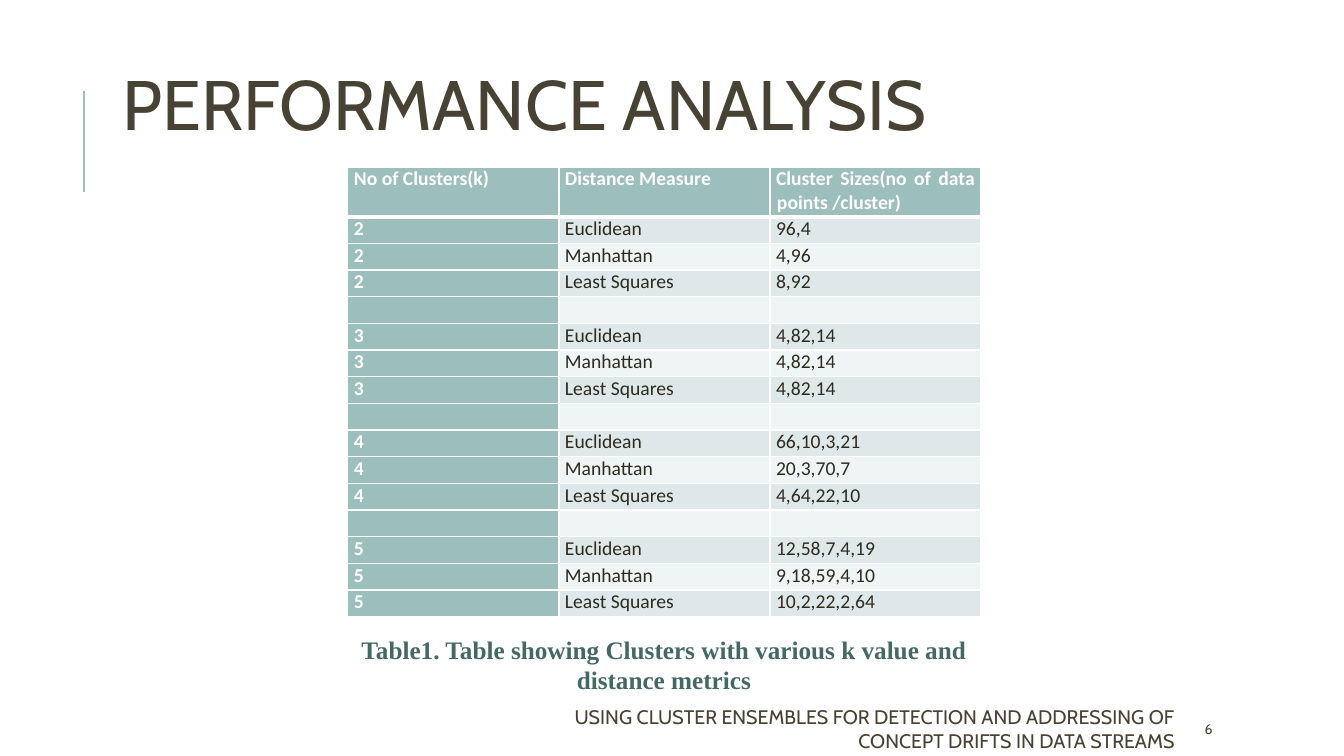
from dataclasses import dataclass

from lxml.etree import SubElement
from pptx import Presentation
from pptx.dml.color import RGBColor as RGB
from pptx.enum.shapes import MSO_CONNECTOR as CONN
from pptx.enum.text import MSO_ANCHOR as ANCHOR, PP_ALIGN as ALIGN
from pptx.oxml.ns import qn
from pptx.slide import Slide
from pptx.table import _Cell as Cell
from pptx.util import Inches, Pt


@dataclass(frozen=True)
class Theme:
    teal: str = "9CBEBD"
    dark_teal: str = "456867"
    brown: str = "474233"
    ink: str = "2E2B21"
    white: str = "FFFFFF"
    bands: tuple[str, str] = ("DEE8E8", "EFF4F4")
    heading_font: str = "Cabin"
    table_font: str = "Calibri"
    caption_font: str = "Times New Roman"
    title_size: int = 50
    caption_size: int = 18
    body_size: int = 14
    number_size: int = 10


@dataclass(frozen=True)
class Label:
    text: str
    left: float
    top: float
    width: float
    height: float
    font: str
    size: int
    color: str
    bold: bool = False
    align: ALIGN = ALIGN.LEFT
    anchor: ANCHOR = ANCHOR.MIDDLE
    line_spacing: float = 1.0
    space_after: int = 0


@dataclass(frozen=True)
class Group:
    k: int
    sizes: tuple[str, str, str]


T = Theme()

LABELS = [
    Label("PERFORMANCE ANALYSIS", 1.12, 0.52, 10.63, 1.14,
          T.heading_font, T.title_size, T.brown, line_spacing=0.8),
    Label("USING CLUSTER ENSEMBLES FOR DETECTION AND ADDRESSING OF "
          "CONCEPT DRIFTS IN DATA STREAMS", 5.3, 7.08, 6.45, 0.3,
          T.heading_font, T.body_size, T.brown, align=ALIGN.RIGHT),
    Label("6", 11.85, 7.08, 1.06, 0.3, T.heading_font, T.number_size, T.brown),
    Label("Table1. Table showing Clusters with various k value and distance metrics",
          3.25, 6.24, 6.67, 0.71, T.caption_font, T.caption_size, T.dark_teal,
          bold=True, align=ALIGN.CENTER, anchor=ANCHOR.TOP, space_after=10),
]

HEADERS = ("No of Clusters(k)", "Distance Measure",
           "Cluster Sizes(no of data points /cluster)")
MEASURES = ("Euclidean", "Manhattan", "Least Squares")
GROUPS = [
    Group(2, ("96,4", "4,96", "8,92")),
    Group(3, ("4,82,14", "4,82,14", "4,82,14")),
    Group(4, ("66,10,3,21", "20,3,70,7", "4,64,22,10")),
    Group(5, ("12,58,7,4,19", "9,18,59,4,10", "10,2,22,2,64")),
]
TABLE_LEFT, TABLE_TOP, TABLE_WIDTH, TABLE_HEIGHT = 3.45, 1.66, 6.28, 4.46
HEADER_HEIGHT = 0.49


def table_rows() -> list[tuple[str, str, str]]:
    rows = [HEADERS]
    for group in GROUPS:
        if group is not GROUPS[0]:
            rows.append(("", "", ""))
        rows += [(str(group.k), m, s) for m, s in zip(MEASURES, group.sizes)]
    return rows


def add_label(s: Slide, label: Label) -> None:
    box = s.shapes.add_textbox(Inches(label.left), Inches(label.top),
                               Inches(label.width), Inches(label.height))
    tf = box.text_frame
    tf.word_wrap = True
    tf.vertical_anchor = label.anchor
    tf.text = label.text
    p = tf.paragraphs[0]
    p.alignment = label.align
    p.line_spacing = label.line_spacing
    p.space_after = Pt(label.space_after)
    font = p.runs[0].font
    font.name, font.size, font.bold = label.font, Pt(label.size), label.bold
    font.color.rgb = RGB.from_string(label.color)


def add_accent_line(s: Slide) -> None:
    line = s.shapes.add_connector(CONN.STRAIGHT, Inches(0.83), Inches(1.9),
                                  Inches(0.83), Inches(0.9))
    line.line.color.rgb = RGB.from_string(T.teal)
    line.line.width = Pt(1.5)
    SubElement(line._element.spPr, qn("a:effectLst"))


def set_borders(cell: Cell, top: int, bottom: int) -> None:
    tc_pr = cell._tc.get_or_add_tcPr()
    for side, width in (("L", 1), ("R", 1), ("T", top), ("B", bottom)):
        ln = SubElement(tc_pr, qn(f"a:ln{side}"), w=str(Pt(width)))
        fill = SubElement(ln, qn("a:solidFill"))
        SubElement(fill, qn("a:srgbClr"), val=T.white)


def format_cell(cell: Cell, text: str, row: int, col: int) -> None:
    emphasized = row == 0 or col == 0
    set_borders(cell, 3 if row == 1 else 1, 3 if row == 0 else 1)
    cell.fill.solid()
    cell.fill.fore_color.rgb = RGB.from_string(
        T.teal if emphasized else T.bands[(row - 1) % 2])
    cell.margin_left = cell.margin_right = Inches(0.06)
    cell.margin_top = cell.margin_bottom = 0
    cell.text_frame.text = text
    p = cell.text_frame.paragraphs[0]
    p.alignment = ALIGN.JUSTIFY
    p_pr = p._p.get_or_add_pPr()
    p_pr.set("marL", str(Inches(0.01)))
    p_pr.set("indent", str(Inches(-0.01)))
    for r in p.runs:
        r.font.name, r.font.size, r.font.bold = T.table_font, Pt(T.body_size), emphasized
        r.font.color.rgb = RGB.from_string(T.white if emphasized else T.ink)
    if not text:
        SubElement(p._p, qn("a:endParaRPr"), sz=str(T.body_size * 100))


def add_cluster_table(s: Slide) -> None:
    rows = table_rows()
    table = s.shapes.add_table(len(rows), len(HEADERS), Inches(TABLE_LEFT),
                               Inches(TABLE_TOP), Inches(TABLE_WIDTH),
                               Inches(TABLE_HEIGHT)).table
    table.horz_banding = False
    body_height = (TABLE_HEIGHT - HEADER_HEIGHT) / (len(rows) - 1)
    for i, values in enumerate(rows):
        table.rows[i].height = Inches(body_height if i else HEADER_HEIGHT)
        for j, text in enumerate(values):
            format_cell(table.cell(i, j), text, i, j)


def main() -> None:
    prs = Presentation()
    prs.slide_width, prs.slide_height = Inches(13.33), Inches(7.5)
    s = prs.slides.add_slide(prs.slide_layouts[6])
    add_accent_line(s)
    add_cluster_table(s)
    for label in LABELS:
        add_label(s, label)
    prs.save("out.pptx")


if __name__ == "__main__":
    main()
